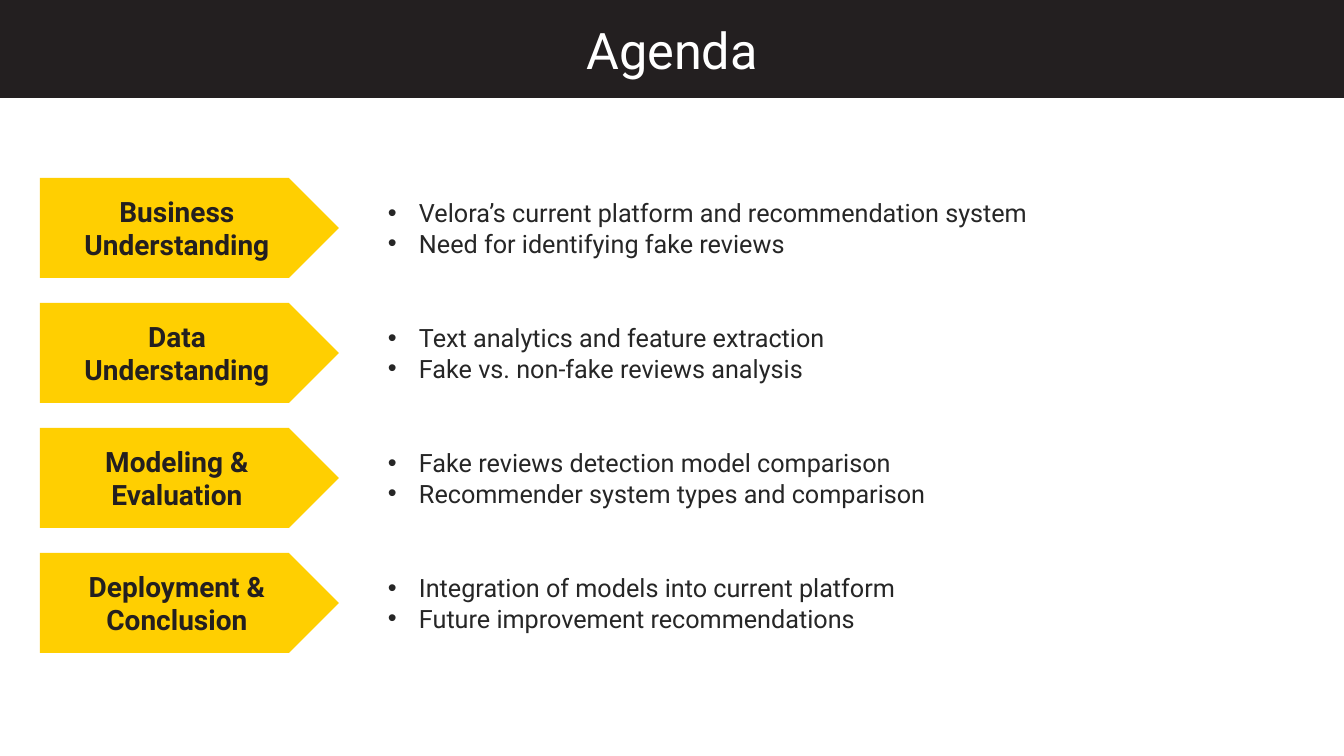
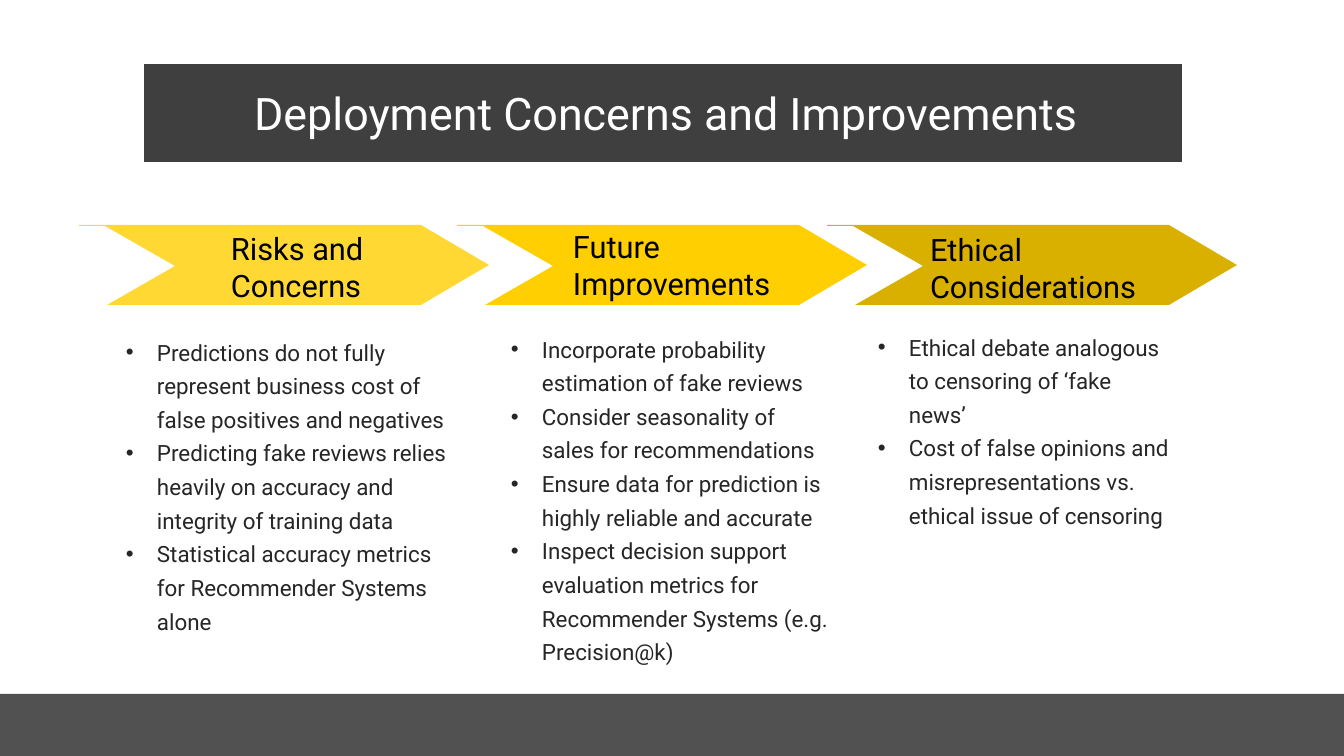
from lxml import etree
from pptx import Presentation
from pptx.dml.color import RGBColor
from pptx.enum.shapes import MSO_SHAPE
from pptx.enum.text import MSO_ANCHOR, MSO_AUTO_SIZE, PP_ALIGN
from pptx.oxml.ns import qn
from pptx.util import Emu, Pt

LEFT, CENTER = PP_ALIGN.LEFT, PP_ALIGN.CENTER
TOP, MIDDLE = MSO_ANCHOR.TOP, MSO_ANCHOR.MIDDLE
NO_AUTOFIT = MSO_AUTO_SIZE.NONE
RECTANGLE, PENTAGON = MSO_SHAPE.RECTANGLE, MSO_SHAPE.PENTAGON

EMU_PER_PX = 9144000 / 1008
SLIDE_W, SLIDE_H = 1344, 756
COMPARISON_LAYOUT = 4
FONT = "Roboto"

BLACK = RGBColor(0x00, 0x00, 0x00)
WHITE = RGBColor(0xFF, 0xFF, 0xFF)
INK = RGBColor(0x23, 0x1F, 0x20)
CHARCOAL = RGBColor(0x3F, 0x3F, 0x3F)
TEXT_GREY = RGBColor(0x26, 0x26, 0x26)
YELLOW = RGBColor(0xFF, 0xCF, 0x01)
DARK_YELLOW = RGBColor(0xDA, 0xB0, 0x00)

BAND_H = 98
BULLET_INDENT = 31
CHEVRON_TOP = 225
CHEVRON_OUTLINE = [(0, 0), (342, 0), (410, 40), (342, 80), (28, 80),
                   (96, 41), (26, 1), (0, 1)]

AGENDA = [
    ("Business Understanding",
     ["Velora’s current platform and recommendation system",
      "Need for identifying fake reviews"]),
    ("Data\nUnderstanding",
     ["Text analytics and feature extraction",
      "Fake vs. non-fake reviews analysis"]),
    ("Modeling & Evaluation",
     ["Fake reviews detection model comparison",
      "Recommender system types and comparison"]),
    ("Deployment & Conclusion",
     ["Integration of models into current platform",
      "Future improvement recommendations"]),
]

# chevron left, fill, opacity, heading, heading box, list box, points
CONCERNS = [
    (79, YELLOW, 80, "Risks and Concerns",
     (221, 225, 170, 84), (116, 327, 341, 312),
     ["Predictions do not fully represent business cost of false positives "
      "and negatives",
      "Predicting fake reviews relies heavily on accuracy and integrity of "
      "training data",
      "Statistical accuracy metrics for Recommender Systems alone"]),
    (457, YELLOW, 100, "Future Improvements",
     (563, 223, 224, 84), (501, 324, 341, 346),
     ["Incorporate probability estimation of fake reviews",
      "Consider seasonality of sales for recommendations",
      "Ensure data for prediction is highly reliable and accurate",
      "Inspect decision support evaluation metrics for Recommender Systems "
      "(e.g. Precision@k)"]),
    (827, DARK_YELLOW, 100, "Ethical Considerations",
     (920, 226, 253, 84), (868, 322, 314, 176),
     ["Ethical debate analogous to censoring of ‘fake news’",
      "Cost of false opinions and misrepresentations vs. ethical issue of "
      "censoring"]),
]


def px(length):
    return Emu(round(length * EMU_PER_PX))


def place(shape, box):
    shape.left, shape.top, shape.width, shape.height = map(px, box)


def paint(shape, color, opacity=100):
    """Give a shape a plain fill without outline or shadow."""
    shape.shadow.inherit = False
    shape.line.fill.background()
    shape.fill.solid()
    shape.fill.fore_color.rgb = color
    if opacity < 100:
        srgb = shape.fill._xPr.find(".//" + qn("a:srgbClr"))
        etree.SubElement(srgb, qn("a:alpha"), val=str(opacity * 1000))


def add_bullet(paragraph):
    properties = paragraph._p.get_or_add_pPr()
    properties.set("marL", str(px(BULLET_INDENT)))
    properties.set("indent", str(-px(BULLET_INDENT)))
    etree.SubElement(properties, qn("a:buFont"), typeface="Arial")
    etree.SubElement(properties, qn("a:buChar"), char="•")


def write(shape, text, size, color, align=LEFT, anchor=TOP, bold=False,
          bullets=False, spacing=1.0):
    frame = shape.text_frame
    frame.text = text
    frame.word_wrap = True
    frame.auto_size = NO_AUTOFIT
    frame.vertical_anchor = anchor
    frame.margin_left = frame.margin_right = px(10)
    frame.margin_top = frame.margin_bottom = px(5)
    for paragraph in frame.paragraphs:
        paragraph.alignment = align
        paragraph.line_spacing = spacing
        paragraph.space_before = Pt(0)
        if bullets:
            add_bullet(paragraph)
        font = paragraph.font
        font.name, font.size, font.bold = FONT, Pt(size), bold
        font.color.rgb = color


def add_title_slide(prs, title, box, size, band_color):
    """Add a slide whose title is a filled band; return it and its bodies."""
    slide = prs.slides.add_slide(prs.slide_layouts[COMPARISON_LAYOUT])
    band = slide.shapes.title
    place(band, box)
    band.fill.solid()
    band.fill.fore_color.rgb = band_color
    write(band, title, size, WHITE, CENTER, MIDDLE)
    bodies = [holder for holder in slide.placeholders
              if holder.placeholder_format.idx > 0]
    return slide, bodies


def fill_list(body, points, box, size, anchor=TOP, spacing=1.0):
    place(body, box)
    write(body, "\n".join(points), size, TEXT_GREY, anchor=anchor,
          bullets=True, spacing=spacing)


def add_block(slide, preset, box, color, opacity=100):
    block = slide.shapes.add_shape(preset, *map(px, box))
    paint(block, color, opacity)
    return block


def add_chevron(slide, left, color, opacity):
    points = [(left + x, CHEVRON_TOP + y) for x, y in CHEVRON_OUTLINE]
    builder = slide.shapes.build_freeform(*points[0], scale=EMU_PER_PX)
    builder.add_line_segments(points[1:], close=True)
    paint(builder.convert_to_shape(), color, opacity)


def build_agenda(prs):
    slide, bodies = add_title_slide(
        prs, "Agenda", (0, 0, SLIDE_W, BAND_H), 36, INK)
    first_top, pitch, row_h = 178, 125, 100
    for row, (topic, points) in enumerate(AGENDA):
        top = first_top + row * pitch
        arrow = add_block(slide, PENTAGON, (40, top, 299, row_h), YELLOW)
        write(arrow, topic, 20, INK, CENTER, MIDDLE, bold=True)
        fill_list(bodies[row], points, (378, top, 802, row_h), 18, MIDDLE)


def build_concerns(prs):
    slide, bodies = add_title_slide(
        prs, "Deployment Concerns and Improvements",
        (144, 64, 1038, BAND_H), 32, CHARCOAL)
    slide.shapes.title.text_frame.margin_left = px(16)
    for body, column in zip(bodies, CONCERNS):
        left, color, opacity, heading, heading_box, list_box, points = column
        add_chevron(slide, left, color, opacity)
        label = slide.shapes.add_textbox(*map(px, heading_box))
        write(label, heading, 22, BLACK)
        fill_list(body, points, list_box, 16, spacing=Pt(24))
    for unused in bodies[len(CONCERNS):]:
        unused.element.getparent().remove(unused.element)
    footer_top = 694
    add_block(slide, RECTANGLE,
              (0, footer_top, SLIDE_W, SLIDE_H - footer_top), TEXT_GREY, 80)


def main():
    prs = Presentation()
    prs.slide_width, prs.slide_height = px(SLIDE_W), px(SLIDE_H)
    build_agenda(prs)
    build_concerns(prs)
    prs.save("out.pptx")


if __name__ == "__main__":
    main()
